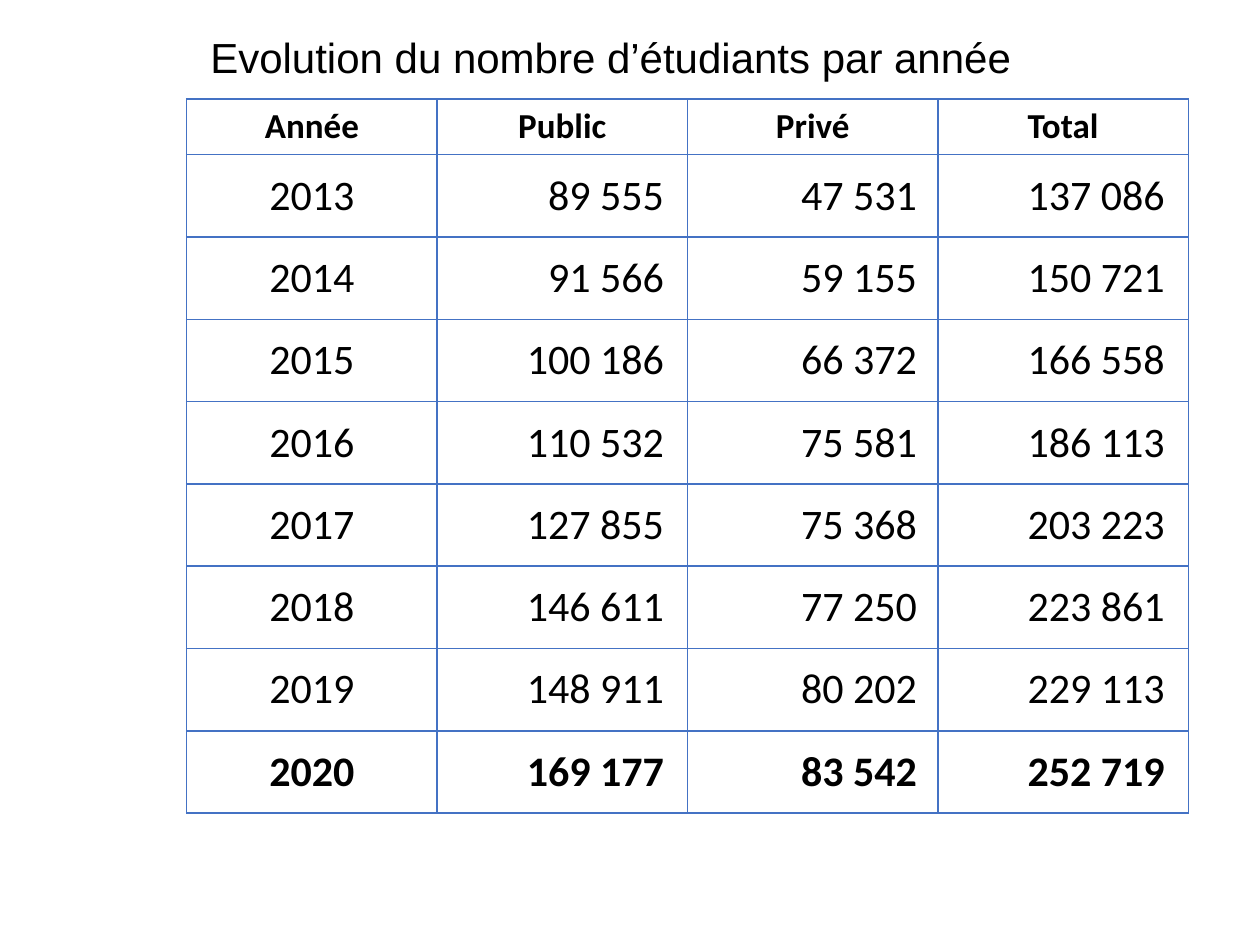
import pptx
import pptx.util
import pptx.dml.color
import pptx.enum.text
import pptx.oxml.ns
import lxml.etree
from dataclasses import dataclass

Pt = pptx.util.Pt
RGB = pptx.dml.color.RGBColor
ALIGN = pptx.enum.text.PP_ALIGN
ANCHOR = pptx.enum.text.MSO_ANCHOR

# Content
TITLE = "Evolution du nombre d’étudiants par année"
HEADS = ["Année", "Public", "Privé", "Total"]
ROWS = [
    ("2013", "89 555", "47 531", "137 086"),
    ("2014", "91 566", "59 155", "150 721"),
    ("2015", "100 186", "66 372", "166 558"),
    ("2016", "110 532", "75 581", "186 113"),
    ("2017", "127 855", "75 368", "203 223"),
    ("2018", "146 611", "77 250", "223 861"),
    ("2019", "148 911", "80 202", "229 113"),
    ("2020", "169 177", "83 542", "252 719"),
]


@dataclass
class Theme:
    ink: str = "000000"
    rule: str = "4472C4"
    rule_w: float = 0.96
    title_font: str = "Arial"
    title_size: int = 24
    font: str = "Calibri"
    head_size: int = 20
    body_size: int = 24


THEME = Theme()

# Layout in points
LEFT, TOP = 106.7, 56.7
COL_W, HEAD_H, ROW_H = 143.1, 31.4, 47.05
SIDE, EDGE = 0.7, 3.6
NUM_PAD = [SIDE, 13.5, 12, 13.5]  # right inset of each column's figures


def style(para, font, size, bold, align):
    para.alignment = align
    for run in para.runs:
        run.font.name = font
        run.font.size = Pt(size)
        run.font.bold = bold
        run.font.color.rgb = RGB.from_string(THEME.ink)


def add_rules(cell):
    props = cell._tc.get_or_add_tcPr()
    qn = pptx.oxml.ns.qn
    for side in "LRTB":
        line = lxml.etree.SubElement(props, qn(f"a:ln{side}"), w=str(Pt(THEME.rule_w)))
        fill = lxml.etree.SubElement(line, qn("a:solidFill"))
        lxml.etree.SubElement(fill, qn("a:srgbClr"), val=THEME.rule)


def fill_cell(cell, text, size, bold, align, pad):
    add_rules(cell)
    cell.fill.background()
    cell.vertical_anchor = ANCHOR.MIDDLE
    cell.margin_left, cell.margin_right = Pt(SIDE), Pt(pad)
    cell.margin_top = cell.margin_bottom = Pt(EDGE)
    cell.text_frame.text = text
    style(cell.text_frame.paragraphs[0], THEME.font, size, bold, align)


def add_title(slide):
    title = slide.shapes.title
    title.left, title.top = Pt(113), Pt(14.4)
    title.width, title.height = Pt(530), Pt(36.4)
    frame = title.text_frame
    frame.text = TITLE
    frame.word_wrap = True
    frame.auto_size = pptx.enum.text.MSO_AUTO_SIZE.NONE
    frame.vertical_anchor = ANCHOR.TOP
    style(frame.paragraphs[0], THEME.title_font, THEME.title_size, False, ALIGN.LEFT)


def add_grid(slide):
    count, cols = len(ROWS) + 1, len(HEADS)
    height = HEAD_H + ROW_H * len(ROWS)
    table = slide.shapes.add_table(
        count, cols, Pt(LEFT), Pt(TOP), Pt(COL_W * cols), Pt(height)).table
    table.first_row = table.horz_banding = False
    for col in table.columns:
        col.width = Pt(COL_W)
    for r, row in enumerate([HEADS] + ROWS):
        head, last = r == 0, r == len(ROWS)
        table.rows[r].height = Pt(HEAD_H if head else ROW_H)
        size = THEME.head_size if head else THEME.body_size
        for c, text in enumerate(row):
            label = head or c == 0
            fill_cell(table.cell(r, c), text, size, head or last,
                      ALIGN.CENTER if label else ALIGN.RIGHT,
                      SIDE if label else NUM_PAD[c])


def main():
    deck = pptx.Presentation()
    deck.slide_width, deck.slide_height = Pt(720), Pt(540)
    slide = deck.slides.add_slide(deck.slide_layouts[5])
    add_title(slide)
    add_grid(slide)
    deck.save("out.pptx")


if __name__ == "__main__":
    main()
